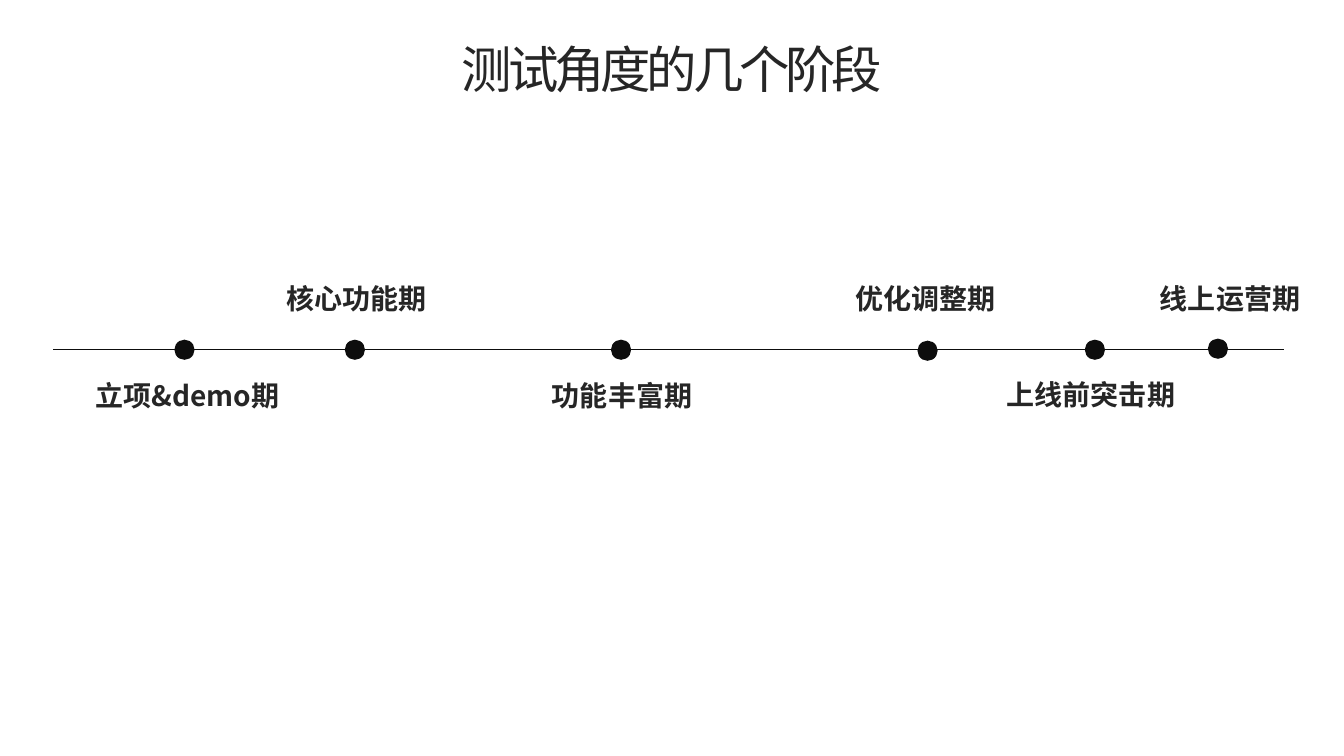
import pptx
import pptx.util
import pptx.dml.color
import pptx.enum.shapes
import pptx.enum.text
import pptx.oxml
import pptx.oxml.ns
from pptx.util import Inches

FONT = "Noto Sans CJK SC"
INK, TEXT = "0D0D0D", "262626"
TITLE = "测试角度的几个阶段"

# stage, dot centre (x, y), label centre x, label top, label width
STAGES = [
    ("立项&demo期", 1.83, 3.47, 1.86, 3.70, 2.79),
    ("核心功能期", 3.52, 3.47, 3.54, 2.74, 2.79),
    ("功能丰富期", 6.16, 3.47, 6.17, 3.70, 2.59),
    ("优化调整期", 9.20, 3.48, 9.18, 2.74, 2.79),
    ("上线前突击期", 10.86, 3.47, 10.82, 3.69, 2.59),
    ("线上运营期", 12.08, 3.46, 12.20, 2.74, 2.79),
]
AXIS_START, AXIS_END, AXIS_Y = 0.53, 12.74, 3.47
DOT = 0.2
LABEL_HEIGHT = 0.44


def color(value):
    """Turn a hex string into a colour."""
    return pptx.dml.color.RGBColor.from_string(value)


def write(shape, words, size, bold=False, spacing=0):
    """Put one centred line of text into a shape."""
    frame = shape.text_frame
    frame.text = words
    frame.word_wrap = True
    frame.auto_size = pptx.enum.text.MSO_AUTO_SIZE.NONE
    frame.vertical_anchor = pptx.enum.text.MSO_ANCHOR.MIDDLE
    frame.paragraphs[0].alignment = pptx.enum.text.PP_ALIGN.CENTER
    run = frame.paragraphs[0].runs[0]
    run.font.size = pptx.util.Pt(size)
    run.font.bold = bold
    run.font.name = FONT
    run.font.color.rgb = color(TEXT)
    properties = run.font._element
    east_asian = pptx.oxml.xmlchemy.OxmlElement("a:ea")
    east_asian.set("typeface", FONT)
    properties.find(pptx.oxml.ns.qn("a:latin")).addnext(east_asian)
    if spacing:
        properties.set("spc", str(spacing * 100))


def add_axis(slide):
    """Draw the timeline."""
    axis = slide.shapes.add_connector(
        pptx.enum.shapes.MSO_CONNECTOR.STRAIGHT,
        Inches(AXIS_START), Inches(AXIS_Y), Inches(AXIS_END), Inches(AXIS_Y))
    axis.line.color.rgb = color(INK)
    axis.line.width = pptx.util.Pt(1)
    axis._element.spPr.append(pptx.oxml.xmlchemy.OxmlElement("a:effectLst"))


def add_stage(slide, name, dot_x, dot_y, label_x, label_top, label_width):
    """Draw the dot of a stage and its label."""
    dot = slide.shapes.add_shape(
        pptx.enum.shapes.MSO_SHAPE.OVAL,
        Inches(dot_x - DOT / 2), Inches(dot_y - DOT / 2),
        Inches(DOT), Inches(DOT))
    dot.shadow.inherit = False
    dot.fill.solid()
    dot.fill.fore_color.rgb = color(INK)
    dot.line.fill.background()
    label = slide.shapes.add_textbox(
        Inches(label_x - label_width / 2), Inches(label_top),
        Inches(label_width), Inches(LABEL_HEIGHT))
    write(label, name, 20, bold=True)


deck = pptx.Presentation()
deck.slide_width, deck.slide_height = Inches(13.33), Inches(7.5)
slide = deck.slides.add_slide(deck.slide_layouts.get_by_name("Title Only"))
title = slide.shapes.title
title.left, title.top = Inches(3.82), Inches(0.32)
title.width, title.height = Inches(5.69), Inches(0.71)
write(title, TITLE, 36, spacing=-3)
add_axis(slide)
for stage in STAGES:
    add_stage(slide, *stage)
deck.save("out.pptx")
